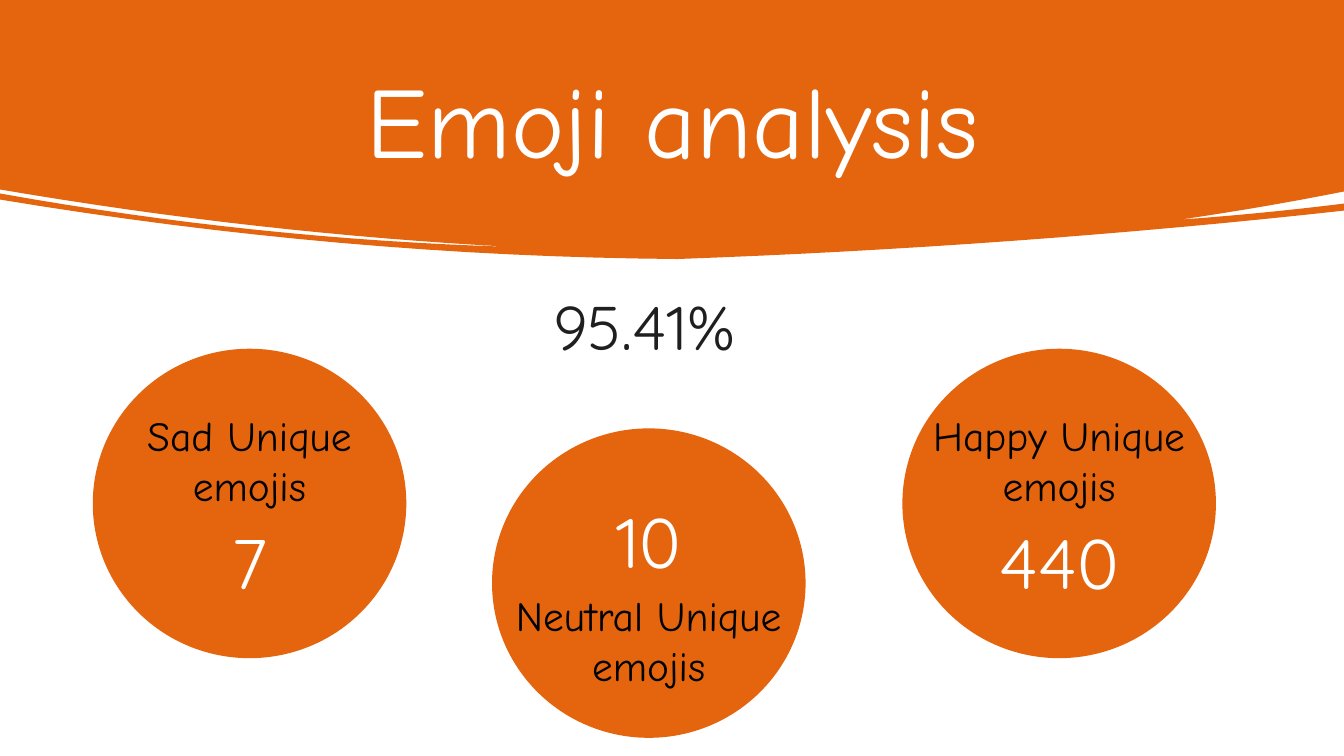
from pptx import Presentation
from pptx.dml.color import RGBColor as Rgb
from pptx.enum.shapes import MSO_SHAPE as Kind
from pptx.enum.text import MSO_ANCHOR as Anchor, PP_ALIGN as Align
from pptx.util import Pt

PX = 9144
WIDE, HIGH = 1333, 750
HUES = {"orange": "E4650E", "white": "FFFFFF", "black": "000000", "ink": "1F1F1F"}
HAND, ROUND = "Comic Neue", "Quicksand"

STEPS = 16
TIP = (672, 257)
LEFT_END = (508, 245)
RIGHT_END = (1170, 218)
ARCS = {
    "right rim": ((WIDE, 190), (1252, 205), RIGHT_END),
    "right slit": (RIGHT_END, (1252, 211), (WIDE, 202)),
    "right base": ((WIDE, 209), (1004, 239), TIP),
    "left base": (TIP, (338, 241), (0, 198)),
    "left slit": ((0, 192), (254, 228), LEFT_END),
    "left rim": (LEFT_END, (254, 224), (0, 188)),
}

DISC_W, DISC_H = 311, 307
TEXT_W, LABEL_H, COUNT_H = 335, 60, 99
INSET = (DISC_W - TEXT_W) // 2
UPPER, LOWER = 56, 156


def bend(start, middle, end):
    for step in range(STEPS + 1):
        t = step / STEPS
        yield tuple(
            a * (1 - t) * (1 - 2 * t) + m * 4 * t * (1 - t) + b * t * (2 * t - 1)
            for a, m, b in zip(start, middle, end)
        )


class Deck:
    def __init__(self):
        self.prs = Presentation()
        self.prs.slide_width = WIDE * PX
        self.prs.slide_height = HIGH * PX
        self.slide = self.prs.slides.add_slide(self.prs.slide_layouts[6])
        self.shapes = self.slide.shapes

    def paint(self, shape):
        shape.shadow.inherit = False
        shape.fill.solid()
        shape.fill.fore_color.rgb = Rgb.from_string(HUES["orange"])
        shape.line.fill.background()

    def wave(self, arcs):
        edge = [(WIDE, 0)]
        for arc in arcs:
            edge.extend(bend(*arc))
        pen = self.shapes.build_freeform(0, 0, scale=1)
        pen.add_line_segments([(x * PX, y * PX) for x, y in edge], close=True)
        self.paint(pen.convert_to_shape())

    def disc(self, x, y):
        box = [n * PX for n in (x, y, DISC_W, DISC_H)]
        self.paint(self.shapes.add_shape(Kind.FLOWCHART_CONNECTOR, *box))

    def text(self, words, box, size, font, hue, align=Align.CENTER,
             anchor=Anchor.TOP, space=0, lead=None):
        frame = self.shapes.add_textbox(*[n * PX for n in box]).text_frame
        frame.word_wrap = True
        frame.vertical_anchor = anchor
        para = frame.paragraphs[0]
        para.alignment = align
        para.space_before = Pt(space)
        para.line_spacing = lead
        run = para.add_run()
        run.text = words
        run.font.size = Pt(size)
        run.font.name = font
        run.font.color.rgb = Rgb.from_string(HUES[hue])

    def label(self, words, x, y):
        box = (x, y, TEXT_W, LABEL_H)
        self.text(words, box, 29.6, HAND, "black", space=10)

    def count(self, words, x, y):
        box = (x, y, TEXT_W, COUNT_H)
        self.text(words, box, 50, ROUND, "white", space=10, lead=1.1)

    def mood(self, name, total, x, y, label_dy, count_dy):
        self.disc(x, y)
        self.label(f"{name} Unique emojis", x + INSET, y + label_dy)
        self.count(total, x + INSET, y + count_dy)


def main():
    deck = Deck()
    deck.wave(ARCS.values())
    deck.text("Emoji analysis", (92, 44, 1150, 147), 72, HAND, "white",
              anchor=Anchor.MIDDLE)
    moods = [
        ("Neutral", "10", 488, 425, LOWER, UPPER),
        ("Sad", "7", 92, 346, UPPER, LOWER),
        ("Happy", "440", 895, 346, UPPER, LOWER),
    ]
    for mood in moods:
        deck.mood(*mood)
    deck.text("95.41%", (539, 282, 667, 84), 44, ROUND, "ink", align=Align.LEFT)
    deck.prs.save("out.pptx")


if __name__ == "__main__":
    main()
